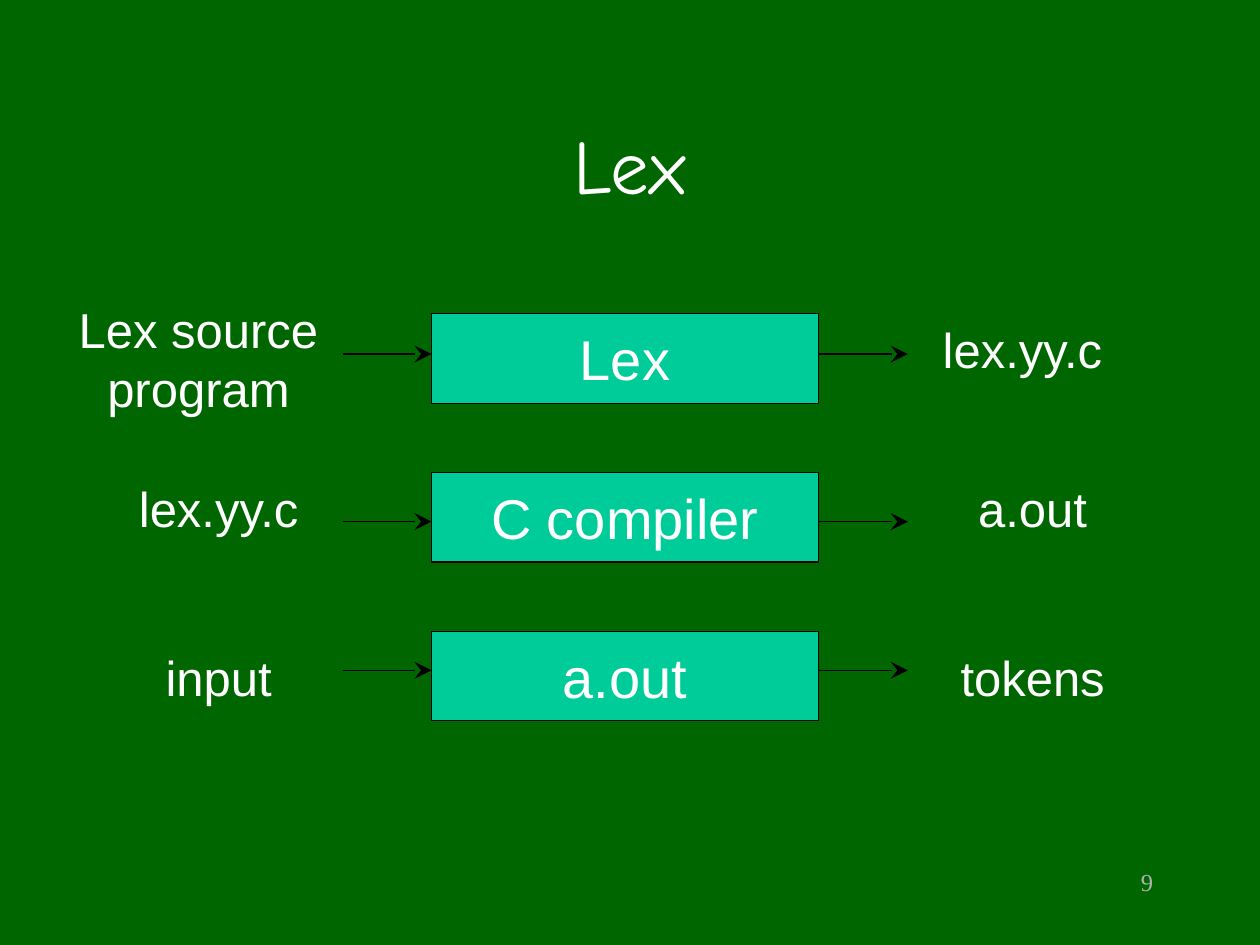
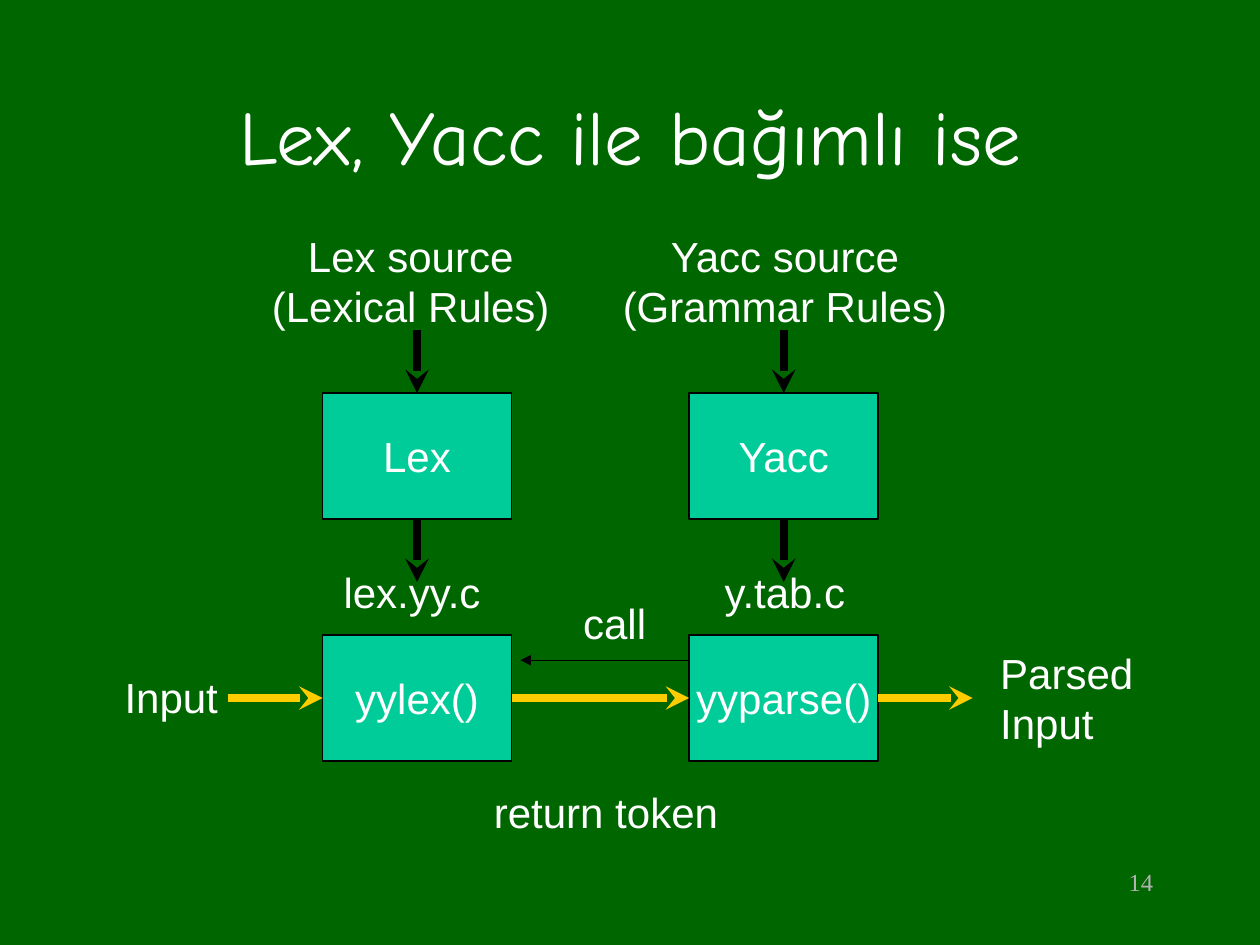
"""Build two slides on how Lex works alone and together with Yacc."""
from lxml import etree
from pptx import Presentation
from pptx import util as u
from pptx.dml.color import RGBColor
from pptx.enum import shapes, text
from pptx.oxml import ns

COLOURS = {"board": "006600", "box": "00CC99", "ink": "000000",
           "chalk": "FFFFFF", "number": "B2B2B2", "flow": "FFCC00"}
ALIGN = text.PP_ALIGN
ANCHOR = text.MSO_ANCHOR

deck = Presentation()
deck.slide_width, deck.slide_height = u.Inches(10), u.Inches(7.5)
COL, ROW = deck.slide_width / 100, deck.slide_height / 75
board = deck.slide_master.background.fill
board.solid()
board.fore_color.rgb = RGBColor.from_string(COLOURS["board"])


def write(slide, words, at, size=24, font="Arial", colour="chalk", align=ALIGN.CENTER,
          anchor=ANCHOR.TOP, outline=None):
    left, top, width, height = at
    place = [round(n) for n in (left * COL, top * ROW, width * COL, height * ROW)]
    if outline:
        holder = slide.shapes.add_shape(shapes.MSO_SHAPE.RECTANGLE, *place)
        holder.shadow.inherit = False
        holder.fill.solid()
        holder.fill.fore_color.rgb = RGBColor.from_string(COLOURS["box"])
        holder.line.color.rgb = RGBColor.from_string(COLOURS["ink"])
        holder.line.width = u.Pt(outline)
    else:
        holder = slide.shapes.add_textbox(*place)
    frame = holder.text_frame
    frame.word_wrap = not outline
    frame.vertical_anchor = anchor
    frame.text = words
    for paragraph in frame.paragraphs:
        paragraph.alignment = align
        paragraph.font.size = u.Pt(size)
        paragraph.font.name = font
        paragraph.font.color.rgb = RGBColor.from_string(COLOURS[colour])
    return holder


def draw_arrow(slide, start, end, colour="ink", width=0.75, head="stealth",
               head_size="med", source=None, target=None):
    arrow = slide.shapes.add_connector(
        shapes.MSO_CONNECTOR.STRAIGHT, round(start[0] * COL), round(start[1] * ROW),
        round(end[0] * COL), round(end[1] * ROW))
    arrow.line.color.rgb = RGBColor.from_string(COLOURS[colour])
    arrow.line.width = u.Pt(width)
    etree.SubElement(arrow.line._get_or_add_ln(), ns.qn("a:tailEnd"),
                     type=head, w=head_size, len=head_size)
    etree.SubElement(arrow._element.spPr, ns.qn("a:effectLst"))
    if source:
        arrow.begin_connect(*source)
    if target:
        arrow.end_connect(*target)


pages = []
for title, title_top, number in [("Lex", 6.7, "9"), ("Lex, Yacc ile bağımlı ise", 4.4, "14")]:
    page = deck.slides.add_slide(deck.slide_layouts[6])
    write(page, number, (71.7, 68.3, 20.8, 5), size=14, font="Times New Roman",
          colour="number", align=ALIGN.RIGHT)
    write(page, title, (7.5, title_top, 85, 12.5), size=44, font="Comic Neue",
          anchor=ANCHOR.MIDDLE)
    pages.append(page)
lex_steps, lex_with_yacc = pages

steps = [
    ("Lex", 28.1, ("Lex source program", (5.1, 23.3, 21.3, 10.4)),
     ("lex.yy.c", (70.5, 24.9, 21.3, 5.7))),
    ("C compiler", 41.4, ("lex.yy.c", (5.9, 37.5, 22.9, 5.7)),
     ("a.out", (70.5, 37.5, 22.9, 5.7))),
    ("a.out", 53.2, ("input", (5.9, 50.9, 22.9, 5.7)),
     ("tokens", (70.5, 50.9, 22.9, 5.7))),
]
for step, (tool, arrow_row, *files) in enumerate(steps):
    write(lex_steps, tool, (34.25, 24.9 + 12.6 * step, 30.7, 7.1), size=32,
          anchor=ANCHOR.MIDDLE, outline=0.75)
    for words, at in files:
        write(lex_steps, words, at, size=28)
    for start in (27.2, 65):
        draw_arrow(lex_steps, (start, arrow_row), (start + 7.05, arrow_row),
                   head_size="lg")

BOX_WIDTH, BOX_HEIGHT = 15, 10
TOOL_TOP, PARSER_TOP, ARROW = 31.2, 50.4, 5
FLOW_ROW = PARSER_TOP + BOX_HEIGHT / 2
columns = [
    (25.6, "Lex", "yylex()", "Lex source\n(Lexical Rules)", (17.6, 17.8, 30, 9),
     "lex.yy.c", 14.2),
    (54.7, "Yacc", "yyparse()", "Yacc source\n(Grammar Rules)", (47.3, 17.8, 30, 9),
     "y.tab.c", 15.2),
]
routines = []
for left, tool, routine, rules, rules_at, output, output_width in columns:
    tool_box, routine_box = [
        write(lex_with_yacc, name, (left, top, BOX_WIDTH, BOX_HEIGHT),
              anchor=ANCHOR.MIDDLE, outline=1)
        for name, top in ((tool, TOOL_TOP), (routine, PARSER_TOP))]
    routines.append(routine_box)
    middle, tool_bottom = left + BOX_WIDTH / 2, TOOL_TOP + BOX_HEIGHT
    draw_arrow(lex_with_yacc, (middle, TOOL_TOP - ARROW), (middle, TOOL_TOP),
               width=4.5, target=(tool_box, 0))
    draw_arrow(lex_with_yacc, (middle, tool_bottom), (middle, tool_bottom + ARROW),
               width=4.5, source=(tool_box, 2))
    write(lex_with_yacc, rules, rules_at)
    write(lex_with_yacc, output, (left, 44.5, output_width, 5))

yylex, yyparse = routines
for start, end, source, target in [
        (18.1, 25.6, None, (yylex, 1)),
        (40.6, 54.7, (yylex, 3), (yyparse, 1)),
        (69.7, 77.2, (yyparse, 3), None)]:
    draw_arrow(lex_with_yacc, (start, FLOW_ROW), (end, FLOW_ROW), colour="flow",
               width=4.5, source=source, target=target)
draw_arrow(lex_with_yacc, (54.7, 52.4), (41.3, 52.4), head="triangle")

for words, at, align in [
        ("Input", (8.9, 52.8, 11, 5), ALIGN.LEFT),
        ("Parsed\nInput", (78.4, 50.9, 15, 9), ALIGN.LEFT),
        ("return token", (37.1, 61.9, 22, 5), ALIGN.CENTER),
        ("call", (45.3, 46.9, 8, 5), ALIGN.LEFT)]:
    write(lex_with_yacc, words, at, align=align)

deck.save("out.pptx")
